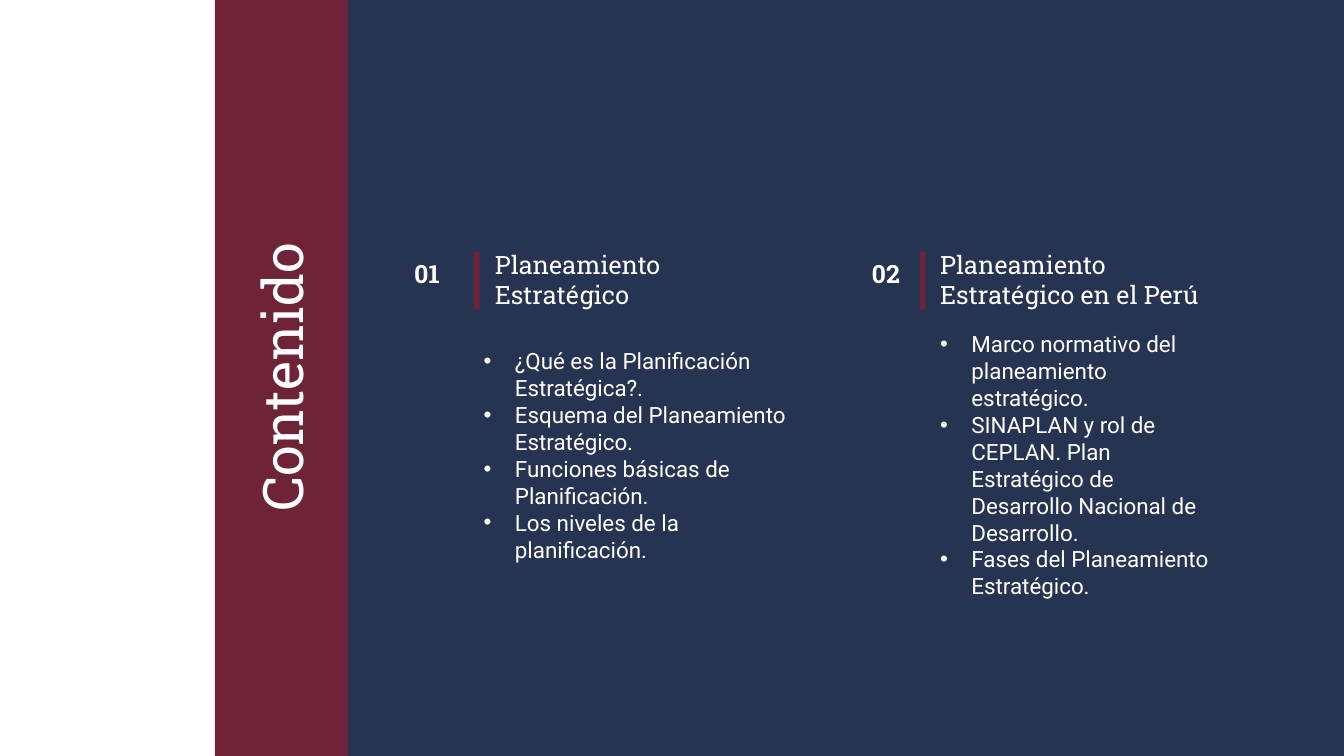
from dataclasses import dataclass

from lxml.etree import SubElement
from pptx import Presentation
from pptx.dml.color import RGBColor
from pptx.enum.shapes import MSO_SHAPE as Shape
from pptx.enum.text import MSO_AUTO_SIZE as AutoSize, PP_ALIGN as Align
from pptx.oxml.ns import qn
from pptx.util import Inches, Pt

SLIDE_W, SLIDE_H = Inches(13.333), Inches(7.5)
WINE, NAVY, WHITE = "6F2336", "273451", "FFFFFF"
SERIF, SANS = "Roboto Slab", "Roboto"
INDENT = Inches(0.31)


@dataclass
class Box:
    """Percentages of the slide's width (x, w) and height (y, h)."""
    x: float
    y: float
    w: float
    h: float

    def emu(self) -> tuple[int, int, int, int]:
        return (int(SLIDE_W * self.x / 100), int(SLIDE_H * self.y / 100),
                int(SLIDE_W * self.w / 100), int(SLIDE_H * self.h / 100))


@dataclass
class Section:
    number: str
    heading: list[str]
    topics: list[str]
    number_x: float
    number_w: float
    bar_x: float
    bar_w: float
    heading_x: float
    text_w: float
    topics_box: Box


SECTIONS = [
    Section("01", ["Planeamiento", "Estratégico"],
            ["¿Qué es la Planificación Estratégica?.",
             "Esquema del Planeamiento Estratégico.",
             "Funciones básicas de Planificación.",
             "Los niveles de la planificación."],
            30.08, 5.55, 35.25, 0.45, 36.08, 25.8,
            Box(35.25, 45.33, 25.8, 30.13)),
    Section("02", ["Planeamiento Estratégico en el Perú"],
            ["Marco normativo del planeamiento estratégico.",
             "SINAPLAN y rol de CEPLAN. Plan Estratégico de Desarrollo "
             "Nacional de Desarrollo.",
             "Fases del Planeamiento Estratégico."],
            64.12, 4.35, 68.47, 0.38, 69.22, 21.98,
            Box(69.22, 43.07, 21.98, 37.2)),
]


def rgb(value: str) -> RGBColor:
    return RGBColor.from_string(value)


def add_block(shapes, box: Box, color: str) -> None:
    s = shapes.add_shape(Shape.RECTANGLE, *box.emu())
    s.shadow.inherit = False
    s.fill.solid()
    s.fill.fore_color.rgb = rgb(color)
    s.line.fill.background()


def add_bullet(p, color: str) -> None:
    pPr = p._p.get_or_add_pPr()
    pPr.set("marL", str(INDENT))
    pPr.set("indent", str(-INDENT))
    clr = SubElement(pPr, qn("a:buClr"))
    SubElement(clr, qn("a:srgbClr"), val=color)
    SubElement(pPr, qn("a:buFont"), typeface="Arial")
    SubElement(pPr, qn("a:buChar"), char="•")


def add_text(shapes, box: Box, lines: list[str], size: int, font: str = SERIF,
             bold: bool = False, bullets: bool = False,
             align: Align = Align.LEFT, rotation: int = 0) -> None:
    s = shapes.add_textbox(*box.emu())
    s.rotation = rotation
    tf = s.text_frame
    tf.word_wrap = True
    tf.auto_size = AutoSize.SHAPE_TO_FIT_TEXT
    tf.text = "\n".join(lines)
    for p in tf.paragraphs:
        p.alignment = align
        if bullets:
            add_bullet(p, WHITE)
        for r in p.runs:
            r.font.name, r.font.size, r.font.bold = font, Pt(size), bold
            r.font.color.rgb = rgb(WHITE)


def add_section(shapes, section: Section) -> None:
    group = shapes.add_group_shape().shapes
    add_block(group, Box(section.bar_x, 33.33, section.bar_w, 7.6), WINE)
    add_text(group, Box(section.heading_x, 32.27, section.text_w, 9.47),
             section.heading, 18)
    add_text(group, section.topics_box, section.topics, 16, SANS, bullets=True)
    add_text(group, Box(section.number_x, 33.47, section.number_w, 5.33),
             [section.number], 18, bold=True)


def main() -> None:
    prs = Presentation()
    prs.slide_width, prs.slide_height = SLIDE_W, SLIDE_H
    shapes = prs.slides.add_slide(prs.slide_layouts[6]).shapes

    # Title band and content panel
    add_block(shapes, Box(15.98, 0, 9.9, 100), WINE)
    add_block(shapes, Box(25.88, 0, 74.12, 100), NAVY)
    add_text(shapes, Box(7.42, 44.8, 27.08, 10.27), ["Contenido"], 40,
             align=Align.CENTER, rotation=270)

    # Numbered sections
    for section in SECTIONS:
        add_section(shapes, section)

    prs.save("out.pptx")


if __name__ == "__main__":
    main()
